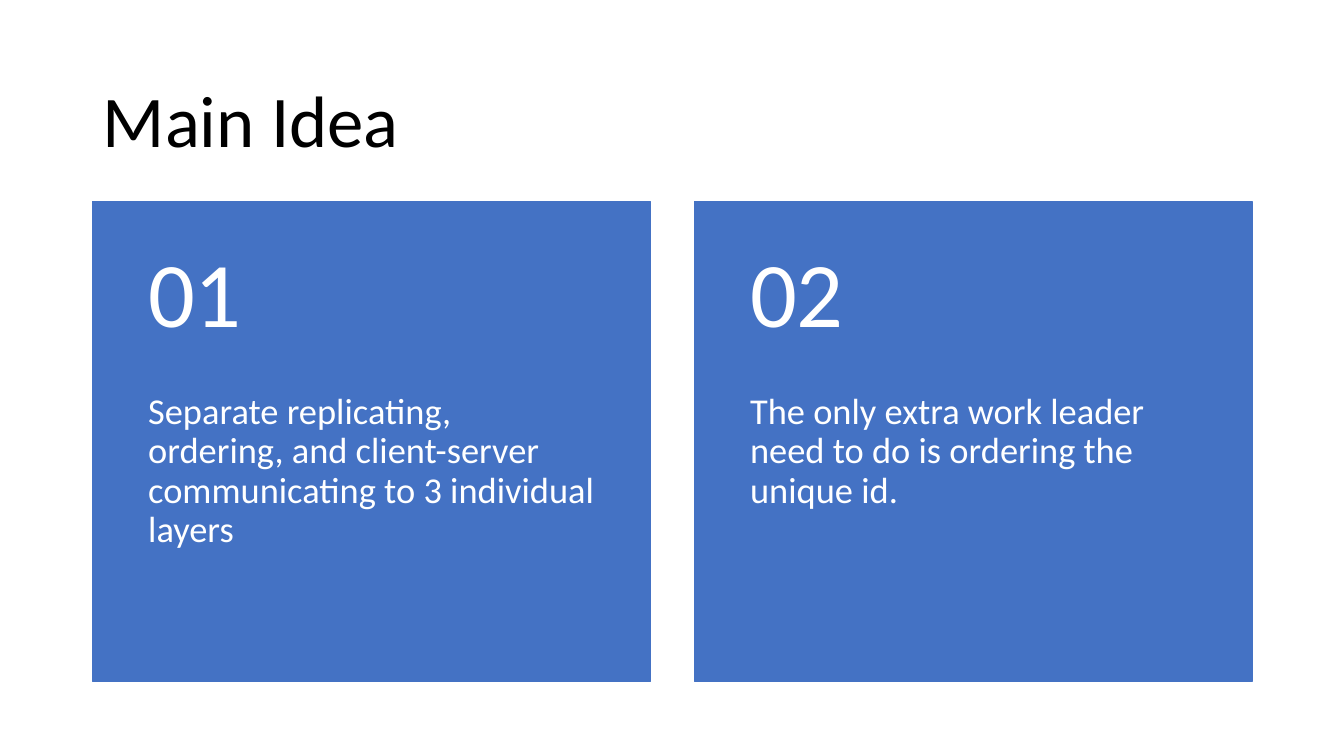
from pptx import Presentation
from pptx.dml.color import RGBColor
from pptx.enum.shapes import MSO_SHAPE
from pptx.enum.text import MSO_ANCHOR, MSO_AUTO_SIZE, PP_ALIGN
from pptx.util import Inches, Pt

BLUE, WHITE, BLACK = "4472C4", "FFFFFF", "000000"
LEFT, CARD_TOP = 0.92, 2
CARD_WIDTH, CARD_HEIGHT, CARD_GAP = 5.53, 4.76, 0.44
NUMBER_HEIGHT = 1.9

IDEAS = [
    "Separate replicating, ordering, and client-server communicating to 3 individual layers",
    "The only extra work leader need to do is ordering the unique id.",
]


def color(hex_value):
    return RGBColor.from_string(hex_value)


def write(shape, text, size, ink, anchor, insets):
    """Fill a shape with one left-aligned paragraph; insets are left, top, right, bottom."""
    frame = shape.text_frame
    margins = ("margin_left", "margin_top", "margin_right", "margin_bottom")
    settings = {"word_wrap": True, "auto_size": MSO_AUTO_SIZE.NONE, "vertical_anchor": anchor}
    settings.update(zip(margins, map(Inches, insets)))
    for name, value in settings.items():
        setattr(frame, name, value)
    para = frame.paragraphs[0]
    para.alignment = PP_ALIGN.LEFT
    para.line_spacing = 0.9
    span = para.add_run()
    span.text = text
    for name, value in {"name": "Calibri", "size": Pt(size), "bold": False}.items():
        setattr(span.font, name, value)
    span.font.color.rgb = color(ink)


def add_title(page, text, left, top, width, height):
    title = page.shapes.title
    box = {"left": left, "top": top, "width": width, "height": height}
    for name, value in box.items():
        setattr(title, name, Inches(value))
    write(title, text, 52, BLACK, MSO_ANCHOR.MIDDLE, (0.1, 0.05, 0.1, 0.05))


def add_card(page, number, idea, left, top, width, height):
    card = page.shapes.add_shape(
        MSO_SHAPE.RECTANGLE, *map(Inches, (left, top, width, height)))
    card.shadow.inherit = False
    card.fill.solid()
    card.fill.fore_color.rgb = color(BLUE)
    card.line.color.rgb = color(BLUE)
    card.line.width = Pt(1)

    idea_box = page.shapes.add_textbox(
        *map(Inches, (left, top + NUMBER_HEIGHT, width, height - NUMBER_HEIGHT)))
    write(idea_box, idea, 26, WHITE, MSO_ANCHOR.TOP, (0.55, 0, 0.55, 0.36))
    number_box = page.shapes.add_textbox(
        *map(Inches, (left, top, width, NUMBER_HEIGHT)))
    write(number_box, f"{number:02}", 66, WHITE, MSO_ANCHOR.MIDDLE, (0.55, 0.18, 0.55, 0.18))


def main():
    deck = Presentation()
    deck.slide_width, deck.slide_height = Inches(13.33), Inches(7.5)
    page = deck.slides.add_slide(deck.slide_layouts.get_by_name("Title Only"))
    add_title(page, "Main Idea", LEFT, 0.61, 2 * CARD_WIDTH + CARD_GAP, 1.24)
    for index, idea in enumerate(IDEAS):
        left = LEFT + index * (CARD_WIDTH + CARD_GAP)
        add_card(page, index + 1, idea, left, CARD_TOP, CARD_WIDTH, CARD_HEIGHT)
    deck.save("out.pptx")


if __name__ == "__main__":
    main()
